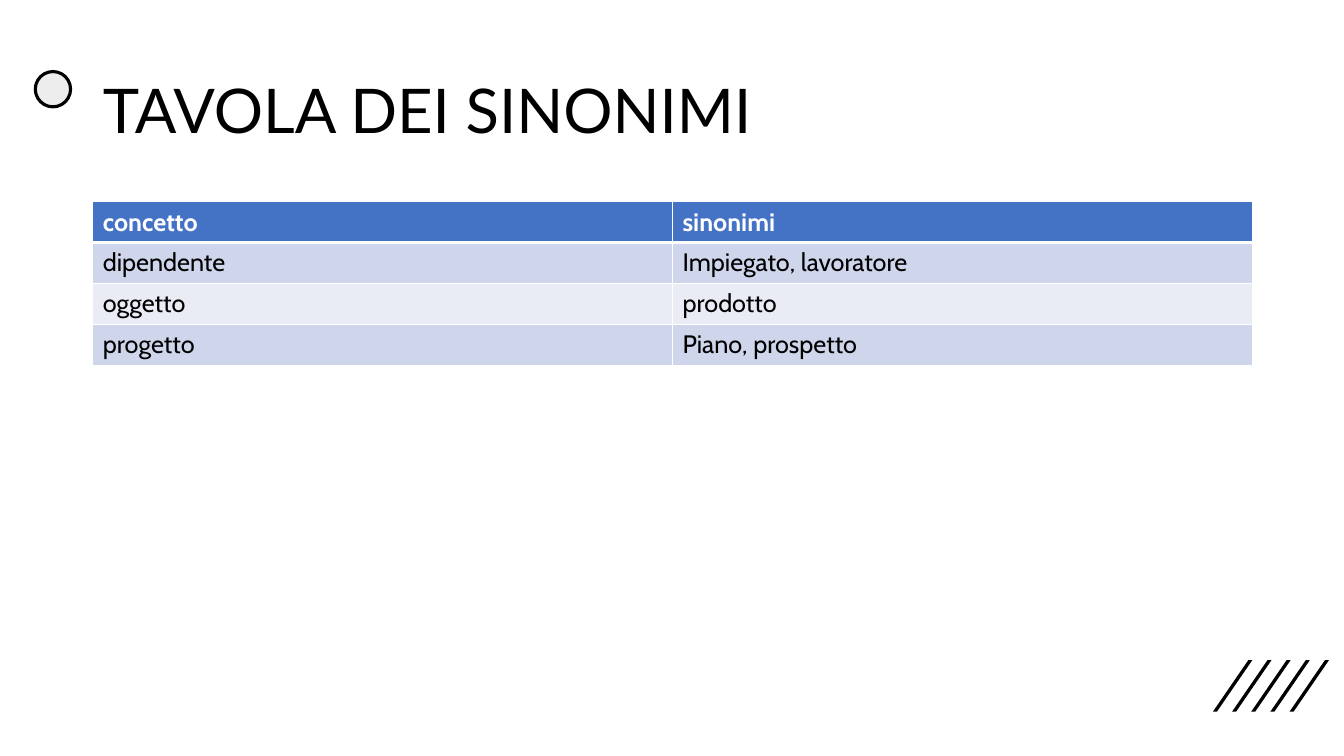
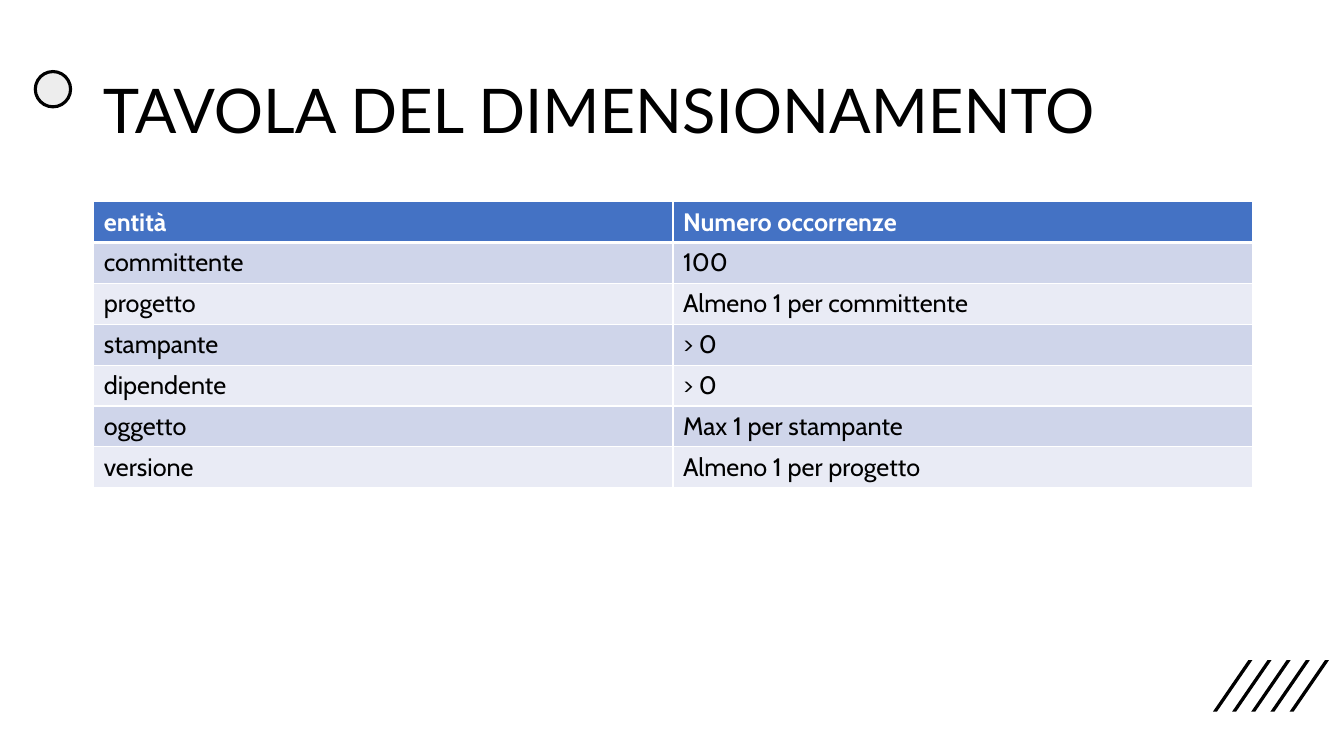
from lxml.etree import SubElement
from pptx import Presentation
from pptx.dml.color import RGBColor
from pptx.enum.shapes import MSO_SHAPE
from pptx.enum.text import MSO_ANCHOR, MSO_AUTO_SIZE, PP_ALIGN
from pptx.oxml.ns import qn
from pptx.util import Inches, Pt

COLOURS = {
    "black": "000000",
    "white": "FFFFFF",
    "dot": "EDEDED",
    "header": "4472C4",
    "odd": "CFD5EA",
    "even": "E9EBF5",
}

TABLES = [
    {
        "title": "TAVOLA DEI SINONIMI",
        "title_width": 12.16,
        "left": 0.92,
        "rows": [
            ("concetto", "sinonimi"),
            ("dipendente", "Impiegato, lavoratore"),
            ("oggetto", "prodotto"),
            ("progetto", "Piano, prospetto"),
        ],
    },
    {
        "title": "TAVOLA DEL DIMENSIONAMENTO",
        "title_width": 11.5,
        "left": 0.93,
        "rows": [
            ("entità", "Numero occorrenze"),
            ("committente", "100"),
            ("progetto", "Almeno 1 per committente"),
            ("stampante", "> 0"),
            ("dipendente", "> 0"),
            ("oggetto", "Max 1 per stampante"),
            ("versione", "Almeno 1 per progetto"),
        ],
    },
]

TITLE_FONT = {"name": "Lato", "size": Pt(44)}
CELL_FONT = {"name": "Cabin", "size": Pt(18)}
TITLE_FRAME = {
    "vertical_anchor": MSO_ANCHOR.MIDDLE,
    "auto_size": MSO_AUTO_SIZE.NONE,
    "word_wrap": True,
}
TITLE_PARAGRAPH = {"alignment": PP_ALIGN.LEFT, "line_spacing": 0.9}
TABLE_RIGHT, TABLE_TOP, ROW_HEIGHT = 12.42, 2, 0.405
STRIPES = {"count": 5, "left": 12.03, "top": 6.55, "step": 0.19,
           "height": 0.51, "slant": 0.35, "thickness": 0.04}


def set_values(target, values):
    for name, value in values.items():
        setattr(target, name, value)


def paint(fill, colour):
    fill.solid()
    fill.fore_color.rgb = RGBColor.from_string(COLOURS[colour])


def style_font(font, values, colour):
    set_values(font, values)
    font.color.rgb = RGBColor.from_string(COLOURS[colour])


def place(shape, left, top, width, height):
    set_values(shape, {"left": Inches(left), "top": Inches(top),
                       "width": Inches(width), "height": Inches(height)})


def add_stripe(slide, index):
    left = STRIPES["left"] + index * STRIPES["step"]
    top, bottom = STRIPES["top"], STRIPES["top"] + STRIPES["height"]
    slant, thickness = STRIPES["slant"], STRIPES["thickness"]
    corners = [(left + thickness, bottom), (left, bottom),
               (left + slant, top), (left + slant + thickness, top)]
    points = [(Inches(x), Inches(y)) for x, y in corners]
    builder = slide.shapes.build_freeform(*points[0])
    builder.add_line_segments(points[1:], close=True)
    stripe = builder.convert_to_shape()
    paint(stripe.fill, "black")
    stripe.line.fill.background()
    return stripe


def add_dot(slide):
    dot = slide.shapes.add_shape(MSO_SHAPE.OVAL, 0, 0, 0, 0)
    place(dot, 0.35, 0.71, 0.35, 0.35)
    paint(dot.fill, "dot")
    paint(dot.line.fill, "black")
    dot.line.width = Pt(2.25)
    return dot


def decorate_layout(layout, slide):
    for placeholder in list(layout.placeholders)[1:]:
        layout.shapes.element.remove(placeholder.element)
    stripes = [add_stripe(slide, index) for index in range(STRIPES["count"])]
    for shape in stripes + [add_dot(slide)]:
        shape.shadow.inherit = False
        layout.shapes.element.append(shape.element)


def add_borders(cell, row_number):
    widths = {"L": 1, "R": 1,
              "T": 3 if row_number == 1 else 1,
              "B": 3 if row_number == 0 else 1}
    properties = cell._tc.get_or_add_tcPr()
    for side, width in widths.items():
        line = SubElement(properties, qn(f"a:ln{side}"), w=str(Pt(width)))
        fill = SubElement(line, qn("a:solidFill"))
        SubElement(fill, qn("a:srgbClr"), val=COLOURS["white"])


def add_title(slide, text, width):
    title = slide.shapes.title
    place(title, 0.92, 0.4, width, 1.45)
    title.text_frame.text = text
    set_values(title.text_frame, TITLE_FRAME)
    paragraph = title.text_frame.paragraphs[0]
    set_values(paragraph, TITLE_PARAGRAPH)
    style_font(paragraph.runs[0].font, TITLE_FONT, "black")


def add_table(slide, left, rows):
    table = slide.shapes.add_table(
        len(rows), len(rows[0]), Inches(left), Inches(TABLE_TOP),
        Inches(TABLE_RIGHT - left), Inches(ROW_HEIGHT * len(rows))).table
    for row_number, texts in enumerate(rows):
        is_header = row_number == 0
        fill = "header" if is_header else "odd" if row_number % 2 else "even"
        for column_number, text in enumerate(texts):
            cell = table.cell(row_number, column_number)
            cell.text = text
            add_borders(cell, row_number)
            paint(cell.fill, fill)
            font = cell.text_frame.paragraphs[0].runs[0].font
            style_font(font, {**CELL_FONT, "bold": is_header},
                       "white" if is_header else "black")


def main():
    presentation = Presentation()
    presentation.slide_width = Inches(13.33)
    presentation.slide_height = Inches(7.5)
    layout = presentation.slide_layouts.get_by_name("Title Only")
    slides = [presentation.slides.add_slide(layout) for _ in TABLES]
    decorate_layout(layout, slides[0])
    for slide, content in zip(slides, TABLES):
        add_title(slide, content["title"], content["title_width"])
        add_table(slide, content["left"], content["rows"])
    presentation.save("out.pptx")


if __name__ == "__main__":
    main()
